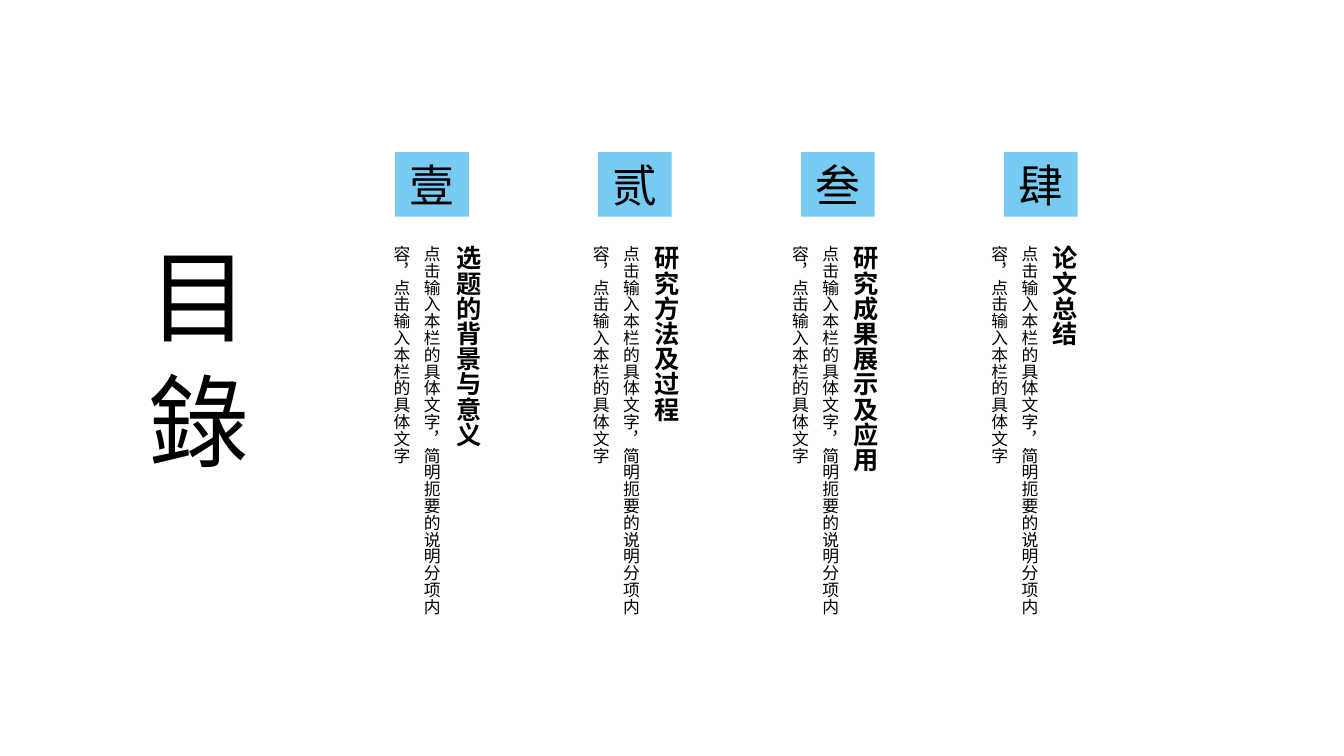
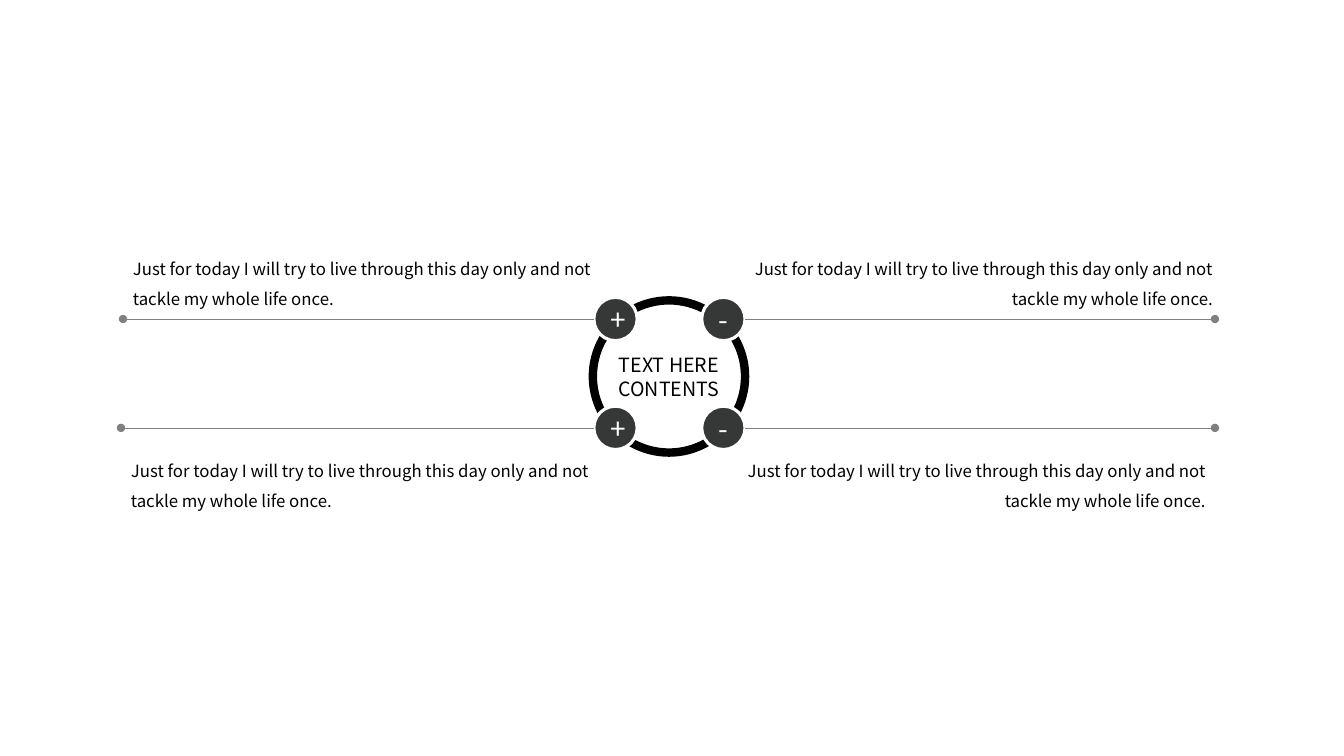
from lxml.etree import SubElement
from pptx import Presentation
from pptx.dml.color import RGBColor
from pptx.enum.shapes import MSO_CONNECTOR, MSO_SHAPE
from pptx.enum.text import MSO_ANCHOR, MSO_AUTO_SIZE, PP_ALIGN
from pptx.oxml.ns import qn
from pptx.util import Inches, Pt

BLACK = RGBColor(0x00, 0x00, 0x00)
WHITE = RGBColor(0xFF, 0xFF, 0xFF)
SKY = RGBColor(0x77, 0xCB, 0xF2)
CHARCOAL = RGBColor(0x36, 0x37, 0x37)
GRAY = RGBColor(0x80, 0x80, 0x80)

SANS = "Noto Sans CJK SC"
TITLE_FONT = "Noto Sans CJK JP"

SECTIONS = [("壹", "选题的背景与意义"), ("贰", "研究方法及过程"),
            ("叁", "研究成果展示及应用"), ("肆", "论文总结")]
SECTION_NOTE = "点击输入本栏的具体文字，简明扼要的说明分项内容，点击输入本栏的具体文字"
QUOTE = ("Just for today I will try to live through this day only "
         "and not tackle my whole life once.")


def write(frame, lines, size, color=BLACK, name=SANS, bold=False,
          align=None, spacing=None):
    """Fill a text frame with one paragraph per line, all in one format."""
    frame.word_wrap = True
    for index, line in enumerate(lines):
        para = frame.paragraphs[0] if index == 0 else frame.add_paragraph()
        for key, value in {"alignment": align, "line_spacing": spacing}.items():
            setattr(para, key, value)
        span = para.add_run()
        span.text = line
        for key, value in {"name": name, "size": Pt(size), "bold": bold}.items():
            setattr(span.font, key, value)
        span.font.color.rgb = color
        east_asian = SubElement(span.font._element, qn("a:ea"))
        east_asian.set("typeface", name)


def add_text(page, box, text, size, vertical=False, **style):
    frame = page.shapes.add_textbox(*map(Inches, box)).text_frame
    write(frame, [text], size, **style)
    frame.auto_size = MSO_AUTO_SIZE.SHAPE_TO_FIT_TEXT
    if vertical:
        frame._txBody.bodyPr.set("vert", "eaVert")
    return frame


def add_label_shape(page, kind, box, lines, size, fill=None, line=None,
                    line_width=0, color=BLACK):
    """Add a preset shape with centred text."""
    shape = page.shapes.add_shape(kind, *map(Inches, box))
    shape.shadow.inherit = False
    if fill is None:
        shape.fill.background()
    else:
        shape.fill.solid()
        shape.fill.fore_color.rgb = fill
    if line is None:
        shape.line.fill.background()
    else:
        shape.line.color.rgb = line
        shape.line.width = Pt(line_width)
    shape.text_frame.vertical_anchor = MSO_ANCHOR.MIDDLE
    write(shape.text_frame, lines, size, color=color, align=PP_ALIGN.CENTER)
    return shape


def add_dotted_line(page, start, end, top):
    """Add a horizontal line that finishes with a dot."""
    line = page.shapes.add_connector(
        MSO_CONNECTOR.STRAIGHT, *map(Inches, (start, top, end, top)))
    line.line.color.rgb = GRAY
    line.line.width = Pt(0.5)
    SubElement(line.line._get_or_add_ln(), qn("a:tailEnd")).set("type", "oval")
    SubElement(line._element.spPr, qn("a:effectLst"))


def add_section(page, index, numeral, heading):
    tile_left = 3.92 + 2.013 * index
    note_left = 3.72 + 1.976 * index
    top = 2.34
    add_label_shape(page, MSO_SHAPE.RECTANGLE, (tile_left, 1.51, 0.73, 0.64),
                    [numeral], 32, fill=SKY)
    first = index == 0
    heading_box = (note_left + (0.62 if first else 0.6), top,
                   0.5 if first else 0.66, 2.79 if len(heading) > 8 else 2.32)
    add_text(page, heading_box, heading, 18, vertical=True, bold=True,
             spacing=None if first else 1.5)
    add_text(page, (note_left, top, 0.81, 3.96), SECTION_NOTE, 12,
             vertical=True, spacing=1.5)


def build_contents(page):
    for index, (numeral, heading) in enumerate(SECTIONS):
        add_section(page, index, numeral, heading)
    title = add_text(page, (1.18, 2.34, 1.41, 3.14), "目 錄", 72,
                     vertical=True, name=TITLE_FONT)
    title.auto_size = MSO_AUTO_SIZE.NONE


def add_hub(page, left, top, size):
    hub = add_label_shape(page, MSO_SHAPE.OVAL, (left, top, size, size),
                          ["TEXT HERE", "CONTENTS"], 14, line=BLACK, line_width=6)
    hub.text_frame.margin_left = hub.text_frame.margin_right = 0


def add_branch(page, sign, button_left, button_top, line_end, quote_box, align):
    """Add a signed button on the hub, its line and its quotation."""
    size = 0.43
    line_start = button_left if line_end < button_left else button_left + size
    add_label_shape(page, MSO_SHAPE.OVAL, (button_left, button_top, size, size),
                    [sign], 20, fill=CHARCOAL, line=WHITE, line_width=2.25,
                    color=WHITE)
    add_dotted_line(page, line_start, line_end, button_top + size / 2)
    add_text(page, quote_box, QUOTE, 12, align=align, spacing=1.5)


def build_comparison(page):
    add_hub(page, 5.88, 2.98, 1.51)
    rows = [(2.95, 2.42, 1.22, 7.17), (4.03, 4.42, 1.2, 7.1)]
    for button_top, quote_top, left, right in rows:
        add_branch(page, "+", 5.89, button_top, left,
                   (left, quote_top, 4.96, 0.66), PP_ALIGN.LEFT)
        add_branch(page, "-", 6.96, button_top, 12.05,
                   (right, quote_top, 4.96, 0.66), PP_ALIGN.RIGHT)


def main():
    deck = Presentation()
    deck.slide_width, deck.slide_height = Inches(13.33), Inches(7.5)
    for build in (build_contents, build_comparison):
        build(deck.slides.add_slide(deck.slide_layouts[6]))
    deck.save("out.pptx")


if __name__ == "__main__":
    main()
